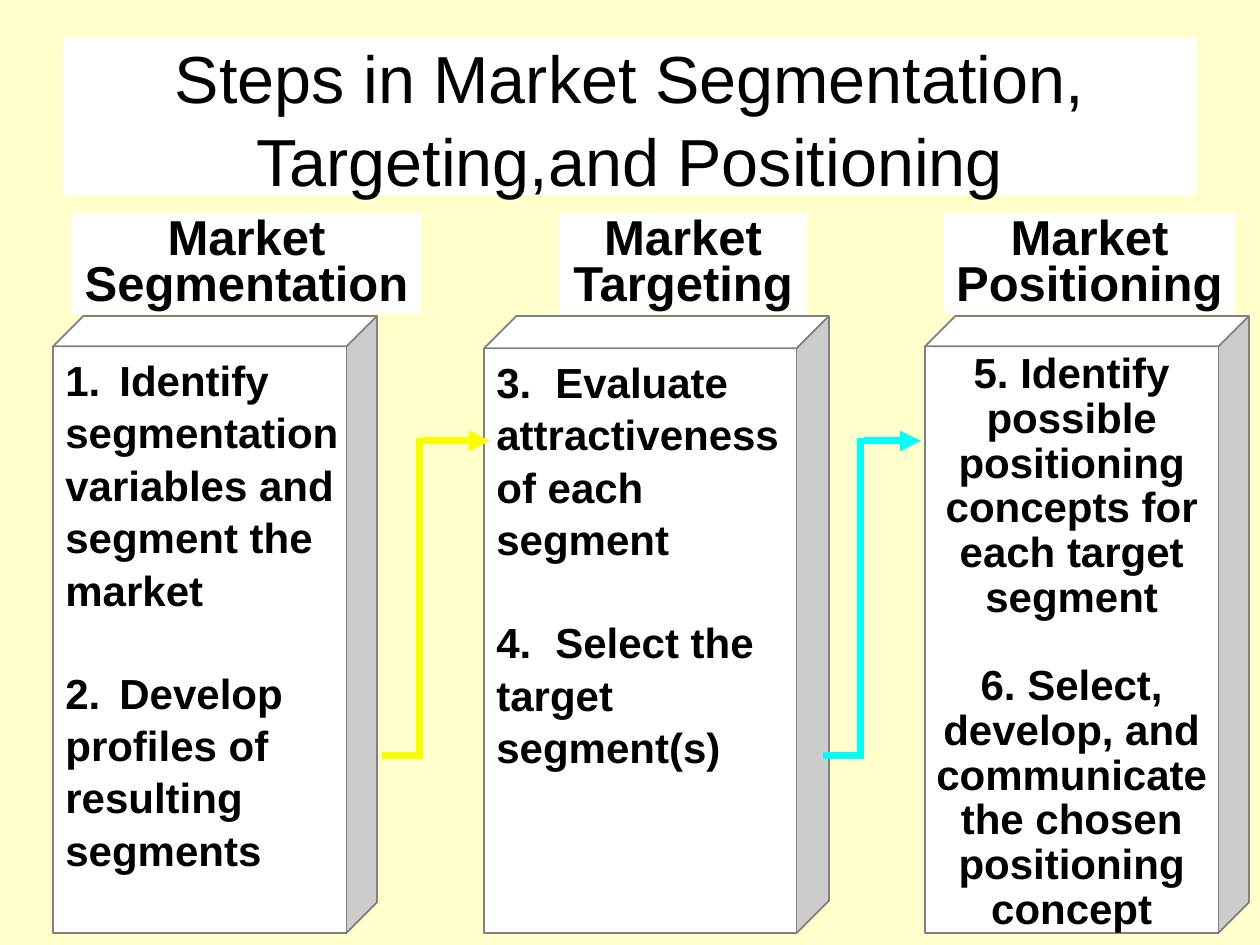
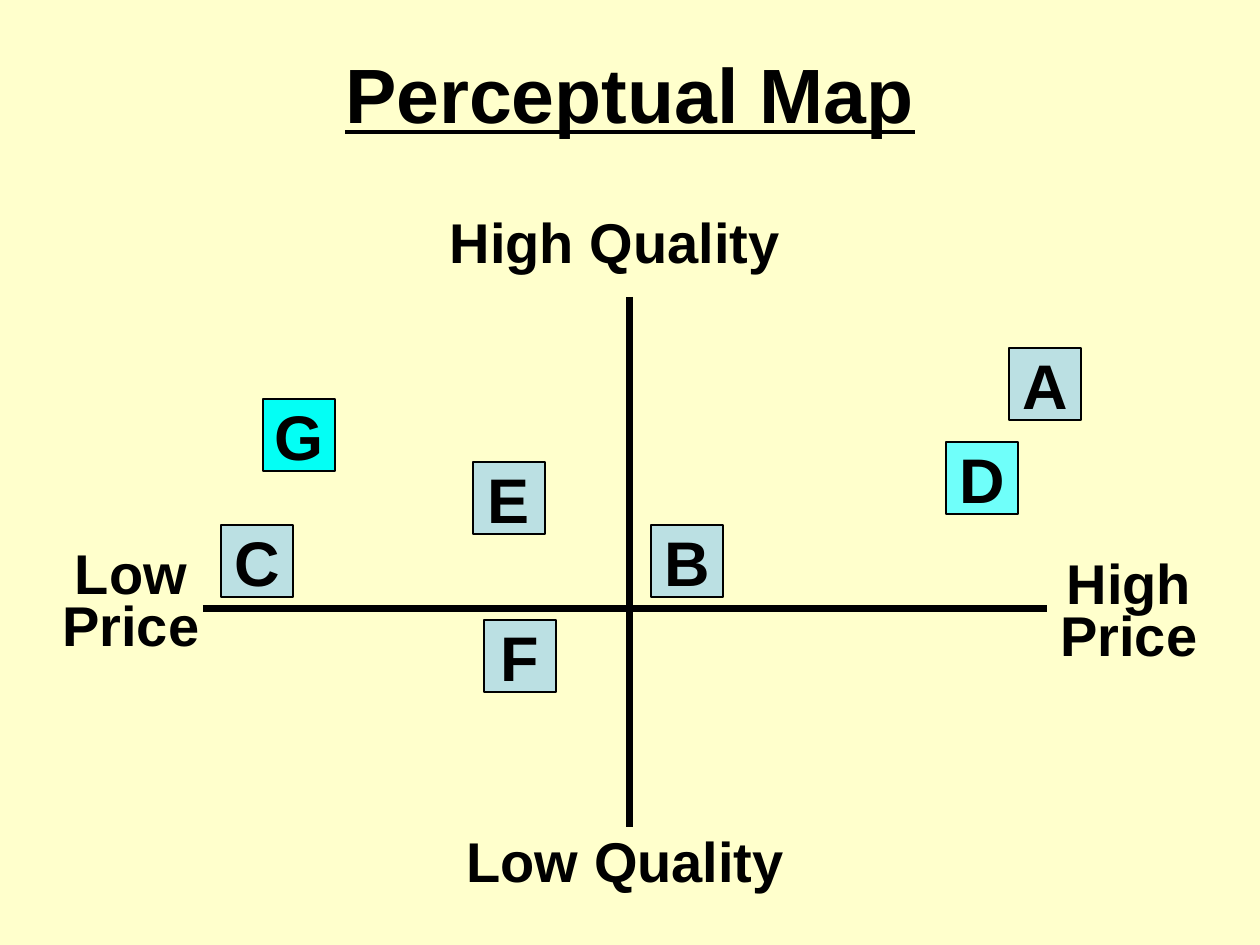
from lxml import etree
from pptx import Presentation
from pptx import util as u
from pptx.dml.color import RGBColor
from pptx.enum import shapes, text
from pptx.oxml.ns import qn

PX = u.Inches(1) // 126
FONT = "Arial"
CREAM = RGBColor(0xFF, 0xFF, 0xCC)
WHITE = RGBColor(0xFF, 0xFF, 0xFF)
BLACK = RGBColor(0, 0, 0)
GREY = RGBColor(0x80, 0x80, 0x80)
YELLOW = RGBColor(0xFA, 0xFD, 0x00)
CYAN = RGBColor(0x03, 0xFF, 0xF8)
BRIGHT_CYAN = RGBColor(0x03, 0xFF, 0xF5)
LIGHT_CYAN = RGBColor(0x6F, 0xFF, 0xFA)
PALE_BLUE = RGBColor(0xBB, 0xE0, 0xE3)
LEFT, CENTER = text.PP_ALIGN.LEFT, text.PP_ALIGN.CENTER
TOP, MIDDLE = text.MSO_ANCHOR.TOP, text.MSO_ANCHOR.MIDDLE

# Each stage: heading and its (left, width), box (left, width), text layout, two steps
STAGES = [
    dict(heading=["Market", "Segmentation"], heading_x=(72, 349), box_x=(53, 324),
         align=LEFT, spacing=1.045, gap=29, tab=54,
         steps=[["1.\tIdentify", "segmentation", "variables and", "segment the", "market"],
                ["2.\tDevelop", "profiles of", "resulting", "segments"]]),
    dict(heading=["Market", "Targeting"], heading_x=(559, 248), box_x=(484, 345),
         align=LEFT, spacing=1.045, gap=29, tab=59,
         steps=[["3.\tEvaluate", "attractiveness", "of each", "segment"],
                ["4.\tSelect the", "target", "segment(s)"]]),
    dict(heading=["Market", "Positioning"], heading_x=(944, 291), box_x=(925, 324),
         align=CENTER, spacing=0.89, gap=24.5, tab=None,
         steps=[["5. Identify", "possible", "positioning", "concepts for", "each target", "segment"],
                ["6. Select,", "develop, and", "communicate", "the chosen", "positioning", "concept"]]),
]
HEADING_Y, HEADING_H = 213, 101
BOX_Y, BOX_H, BOX_DEPTH = 316, 617, 0.094
# Elbow arrows: x of the upright, x of the head, colour
ELBOWS = [(420, 490, YELLOW), (861, 921, CYAN)]
ELBOW_TOP, ELBOW_BOTTOM, ELBOW_STUB = 441, 756, 38

AXES = [(203, 609, 1047, 609), (630, 297, 630, 827)]
AXIS_LABELS = [
    (["Low", "Price"], (63, 557, 136, 95)),
    (["Low Quality"], (473, 840, 305, 53)),
    (["High Quality"], (473, 221, 284, 53)),
    (["High", "Price"], (1061, 567, 136, 95)),
]
MARK_SIZE = 72
MARKS = [
    ("G", 263, 399, BRIGHT_CYAN), ("C", 221, 525, PALE_BLUE), ("F", 484, 620, PALE_BLUE),
    ("E", 473, 462, PALE_BLUE), ("B", 651, 525, PALE_BLUE), ("D", 946, 442, LIGHT_CYAN),
    ("A", 1009, 348, PALE_BLUE),
]


def px(*lengths):
    return [length * PX for length in lengths]


def add_run(p, words, size, bold=True):
    r = p.add_run()
    r.text = words
    r.font.name, r.font.size, r.font.bold = FONT, u.Pt(size), bold
    r.font.color.rgb = BLACK
    return r


def write(sp, lines, size, align=CENTER, spacing=1.0, anchor=MIDDLE):
    """Fill a shape with one unwrapped paragraph per line."""
    tf = sp.text_frame
    tf.word_wrap, tf.auto_size, tf.vertical_anchor = False, text.MSO_AUTO_SIZE.NONE, anchor
    for i, line in enumerate(lines):
        p = tf.add_paragraph() if i else tf.paragraphs[0]
        p.alignment, p.line_spacing = align, spacing
        add_run(p, line, size)
    return tf.paragraphs


def add_box(s, kind, box, fill, line=None):
    sp = s.shapes.add_shape(kind, *px(*box))
    sp.shadow.inherit = False
    sp.fill.solid()
    sp.fill.fore_color.rgb = fill
    if line is None:
        sp.line.fill.background()
    else:
        sp.line.color.rgb, sp.line.width = line, u.Pt(1)
    return sp


def add_line(s, ends, color, arrow=False):
    cx = s.shapes.add_connector(shapes.MSO_CONNECTOR.STRAIGHT, *px(*ends))
    cx.line.color.rgb, cx.line.width = color, u.Pt(4)
    if arrow:
        etree.SubElement(cx.line._get_or_add_ln(), qn("a:tailEnd"), type="triangle")
    etree.SubElement(cx._element.spPr, qn("a:effectLst"))


def add_tab(p, position):
    tabs = etree.SubElement(p._p.get_or_add_pPr(), qn("a:tabLst"))
    etree.SubElement(tabs, qn("a:tab"), pos=str(position * PX), algn="l")


def add_titled_slide(prs, title, height, size, spacing=1.0, bold=False):
    s = prs.slides.add_slide(prs.slide_layouts[5])
    sp = s.shapes.title
    sp.left, sp.top, sp.width, sp.height = px(63, 38, 1134, height)
    tf = sp.text_frame
    tf.auto_size, tf.vertical_anchor = text.MSO_AUTO_SIZE.NONE, MIDDLE
    p = tf.paragraphs[0]
    p.alignment, p.line_spacing = CENTER, spacing
    r = add_run(p, title, size, bold)
    return s, sp, r


def add_stage(s, stage):
    left, width = stage["box_x"]
    cube = add_box(s, shapes.MSO_SHAPE.CUBE, (left, BOX_Y, width, BOX_H), WHITE, GREY)
    cube.adjustments[0] = BOX_DEPTH
    first, second = stage["steps"]
    paragraphs = write(cube, first + second, 24, stage["align"], stage["spacing"], TOP)
    paragraphs[len(first)].space_before = u.Pt(stage["gap"])
    if stage["tab"]:
        for p in (paragraphs[0], paragraphs[len(first)]):
            add_tab(p, stage["tab"])
    left, width = stage["heading_x"]
    heading = add_box(s, shapes.MSO_SHAPE.RECTANGLE, (left, HEADING_Y, width, HEADING_H), WHITE)
    write(heading, stage["heading"], 28, spacing=0.78, anchor=TOP)


def add_elbow(s, x, head, color):
    half = 3
    add_line(s, (x - ELBOW_STUB, ELBOW_BOTTOM, x - half, ELBOW_BOTTOM), color)
    add_line(s, (x, ELBOW_BOTTOM + half, x, ELBOW_TOP - half), color)
    add_line(s, (x + half, ELBOW_TOP, head, ELBOW_TOP), color, arrow=True)


def build_steps(prs):
    s, title, _ = add_titled_slide(
        prs, "Steps in Market Segmentation, Targeting,and Positioning", 157, 38, spacing=1.045)
    title.fill.solid()
    title.fill.fore_color.rgb = WHITE
    for stage in STAGES:
        add_stage(s, stage)
    for elbow in ELBOWS:
        add_elbow(s, *elbow)


def build_map(prs):
    s, _, r = add_titled_slide(prs, "Perceptual Map", 110, 44, bold=True)
    r.font.underline = True
    for axis in AXES:
        add_line(s, axis, BLACK)
    for lines, box in AXIS_LABELS:
        write(s.shapes.add_textbox(*px(*box)), lines, 32, spacing=0.78)
    for letter, x, y, fill in MARKS:
        mark = add_box(s, shapes.MSO_SHAPE.RECTANGLE, (x, y, MARK_SIZE, MARK_SIZE), fill, BLACK)
        write(mark, [letter], 36)


def main():
    prs = Presentation()
    prs.slide_width, prs.slide_height = px(1260, 945)
    background = prs.slide_master.background.fill
    background.solid()
    background.fore_color.rgb = CREAM
    build_steps(prs)
    build_map(prs)
    prs.save("out.pptx")


if __name__ == "__main__":
    main()
